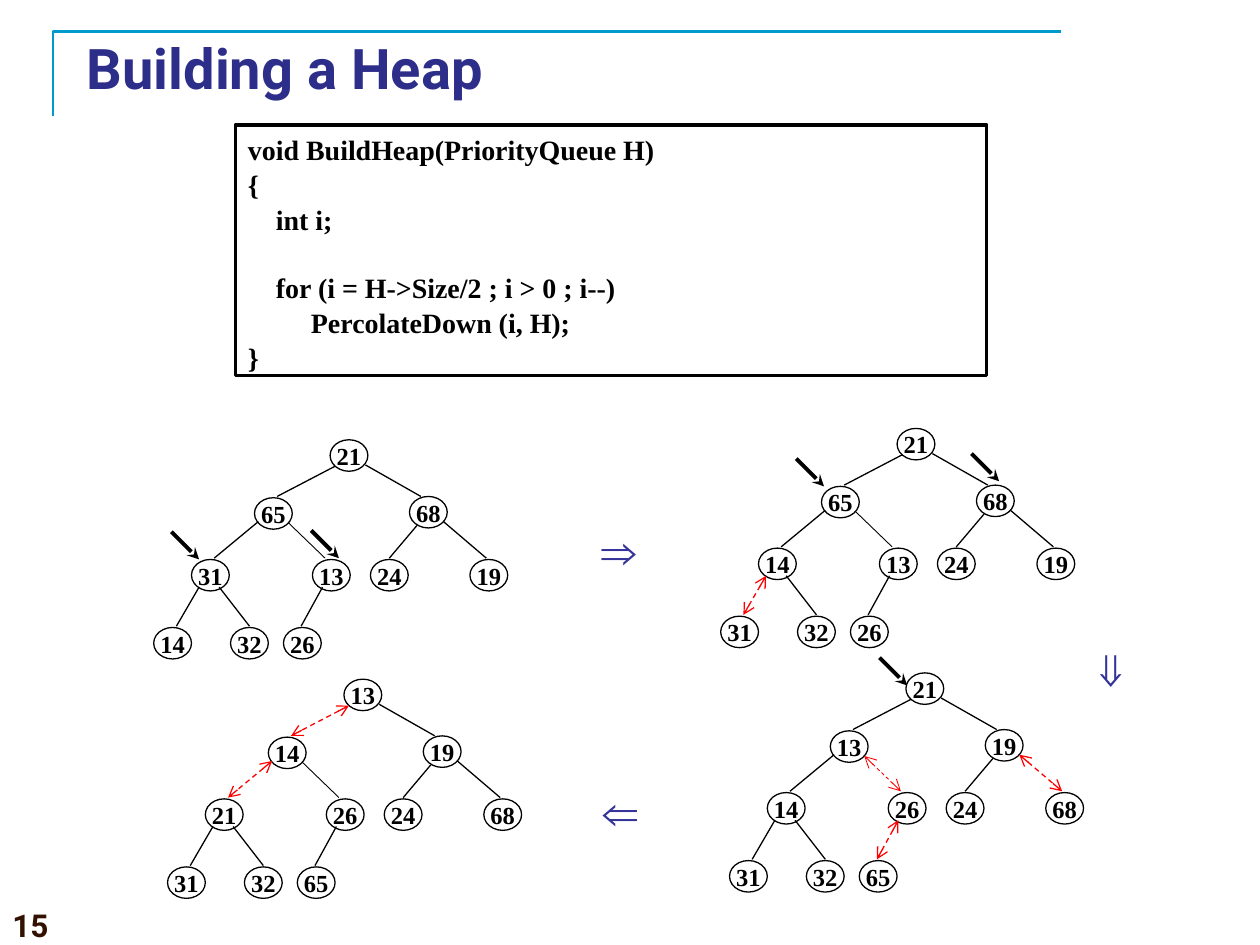
from lxml import etree
from pptx import Presentation
from pptx.dml.color import RGBColor
from pptx.enum.dml import MSO_LINE
from pptx.enum.shapes import MSO_CONNECTOR, MSO_SHAPE
from pptx.enum.text import MSO_ANCHOR, PP_ALIGN
from pptx.oxml.ns import qn
from pptx.util import Inches, Pt

STRAIGHT = MSO_CONNECTOR.STRAIGHT
OVAL, RECTANGLE = MSO_SHAPE.OVAL, MSO_SHAPE.RECTANGLE
DASH = MSO_LINE.DASH
TOP, MIDDLE = MSO_ANCHOR.TOP, MSO_ANCHOR.MIDDLE
LEFT, CENTER, JUSTIFY = PP_ALIGN.LEFT, PP_ALIGN.CENTER, PP_ALIGN.JUSTIFY

BLACK = RGBColor(0x00, 0x00, 0x00)
WHITE = RGBColor(0xFF, 0xFF, 0xFF)
RED = RGBColor(0xFF, 0x00, 0x00)
FRAME_BLUE = RGBColor(0x00, 0x99, 0xCC)
TITLE_BLUE = RGBColor(0x2D, 0x2D, 0x8A)
SYMBOL_BLUE = RGBColor(0x33, 0x33, 0x99)
BROWN = RGBColor(0x32, 0x11, 0x00)
SANS, SERIF = "Roboto", "Times New Roman"

# Node places and edge ends, measured from the top left of the root node.
NODE_OFFSETS = [(0, 0), (-0.6, 0.46), (0.63, 0.45),
                (-1.1, 0.95), (-0.14, 0.95), (0.32, 0.95), (1.11, 0.95),
                (-1.4, 1.49), (-0.79, 1.49), (-0.37, 1.49)]
EDGE_OFFSETS = [(0.04, 0.21, -0.42, 0.45), (0.28, 0.2, 0.72, 0.45),
                (-0.57, 0.65, -0.92, 0.94), (-0.33, 0.66, -0.04, 0.94),
                (0.69, 0.68, 0.47, 0.94), (0.9, 0.65, 1.24, 0.94),
                (-1.04, 1.17, -1.22, 1.48), (-0.88, 1.17, -0.64, 1.48),
                (-0.06, 1.17, -0.23, 1.48)]
THIN_EDGE = 3

# Root place, keys in level order, and the edges along which keys are swapped.
TREES = [
    (2.62, 3.49, [21, 65, 68, 31, 13, 24, 19, 14, 32, 26], []),
    (7.12, 3.4, [21, 65, 68, 14, 13, 24, 19, 31, 32, 26], [6]),
    (7.19, 5.34, [21, 13, 19, 14, 26, 24, 68, 31, 32, 65], [3, 5, 8]),
    (2.73, 5.39, [13, 14, 19, 21, 26, 24, 68, 31, 32, 65], [0, 2]),
]
POINTERS = [(1.36, 4.22), (2.47, 4.21), (6.32, 3.64), (7.71, 3.6), (6.98, 5.22)]

# Text, left, top, width, height, font, size, colour, alignment, anchor, wrap
LABELS = [
    ("15", 0, 7.14, 3.12, 0.36, SANS, 18, BROWN, LEFT, TOP, True),
    ("Building a Heap", 0.59, 0.3, 8.5, 0.47, SANS, 32, TITLE_BLUE, JUSTIFY, MIDDLE, True),
    ("⇒", 4.62, 4.08, 0.59, 0.57, SERIF, 28, SYMBOL_BLUE, CENTER, TOP, False),
    ("⇓", 8.58, 5.02, 0.44, 0.57, SERIF, 28, SYMBOL_BLUE, CENTER, TOP, False),
    ("⇐", 4.63, 6.15, 0.59, 0.57, SERIF, 28, SYMBOL_BLUE, CENTER, TOP, False),
]

# Text, left indent in points, space before in points
CODE_LINES = [
    ("void BuildHeap(PriorityQueue H)", 0, 0),
    ("{", 0, 0),
    ("int i;", 16, 0),
    ("for (i = H->Size/2 ; i > 0 ; i--)", 16, 19.2),
    ("PercolateDown (i, H);", 36, 0),
    ("}", 0, 0),
]


def style_paragraph(paragraph, font_name, size, color, alignment):
    """Set the bold font and the alignment of a paragraph."""
    paragraph.alignment = alignment
    font = paragraph.font
    font.name, font.size, font.bold = font_name, Pt(size), True
    font.color.rgb = color


def add_line(ends, color, width, head=None, tail=None):
    """Add a straight line with optional arrowheads and return it."""
    line = slide.shapes.add_connector(STRAIGHT, *[Inches(end) for end in ends])
    line.line.color.rgb = color
    line.line.width = Pt(width)
    properties = line._element.spPr
    etree.SubElement(properties, qn("a:effectLst"))
    outline = properties.find(qn("a:ln"))
    if head or tail:
        if color == RED:
            line.line.dash_style = DASH
        for tag, kind in (("a:headEnd", head), ("a:tailEnd", tail)):
            if kind:
                etree.SubElement(outline, qn(tag), type=kind)
    return line


presentation = Presentation()
presentation.slide_width = Inches(10)
presentation.slide_height = Inches(7.5)
slide = presentation.slides.add_slide(presentation.slide_layouts[6])

builder = slide.shapes.build_freeform(Inches(0.42), Inches(0.92))
builder.add_line_segments([(Inches(0.42), Inches(0.25)), (Inches(8.42), Inches(0.25))],
                          close=False)
title_frame = builder.convert_to_shape()
title_frame.shadow.inherit = False
title_frame.fill.background()
title_frame.line.color.rgb = FRAME_BLUE
title_frame.line.width = Pt(1.5)

for text, left, top, width, height, font_name, size, color, alignment, anchor, wrap in LABELS:
    label = slide.shapes.add_textbox(Inches(left), Inches(top), Inches(width), Inches(height))
    label.text_frame.word_wrap = wrap
    label.text_frame.vertical_anchor = anchor
    label.text_frame.text = text
    style_paragraph(label.text_frame.paragraphs[0], font_name, size, color, alignment)

for root_left, root_top, keys, swapped_edges in TREES:
    for key, (x, y) in zip(keys, NODE_OFFSETS):
        node = slide.shapes.add_shape(OVAL, Inches(root_left + x), Inches(root_top + y),
                                      Inches(0.3), Inches(0.25))
        node.shadow.inherit = False
        node.fill.solid()
        node.fill.fore_color.rgb = WHITE
        node.line.color.rgb = BLACK
        node.line.width = Pt(0.75)
        node.text_frame.word_wrap = False
        node.text_frame.vertical_anchor = MIDDLE
        node.text_frame.text = str(key)
        style_paragraph(node.text_frame.paragraphs[0], SERIF, 14, BLACK, CENTER)
    for index, (x1, y1, x2, y2) in enumerate(EDGE_OFFSETS):
        ends = (root_left + x1, root_top + y1, root_left + x2, root_top + y2)
        width = 0.5 if index == THIN_EDGE else 0.75
        if index in swapped_edges:
            add_line(ends, RED, width, "arrow", "arrow")
        else:
            add_line(ends, BLACK, width)

for x, y in POINTERS:
    add_line((x, y, x + 0.22, y + 0.22), BLACK, 2.25, tail="stealth")

code_box = slide.shapes.add_shape(RECTANGLE, Inches(1.87), Inches(0.99),
                                  Inches(5.96), Inches(1.99))
code_box.shadow.inherit = False
code_box.fill.solid()
code_box.fill.fore_color.rgb = WHITE
code_box.line.color.rgb = BLACK
code_box.line.width = Pt(2)
code_frame = code_box.text_frame
code_frame.word_wrap = True
code_frame.vertical_anchor = TOP
code_frame.text = "\n".join(text for text, indent, gap in CODE_LINES)
for paragraph, (text, indent, gap) in zip(code_frame.paragraphs, CODE_LINES):
    style_paragraph(paragraph, SERIF, 16, BLACK, JUSTIFY)
    paragraph.line_spacing = 1.04
    paragraph.space_before = Pt(gap)
    paragraph._p.get_or_add_pPr().set("marL", str(Pt(indent)))

presentation.save("out.pptx")
